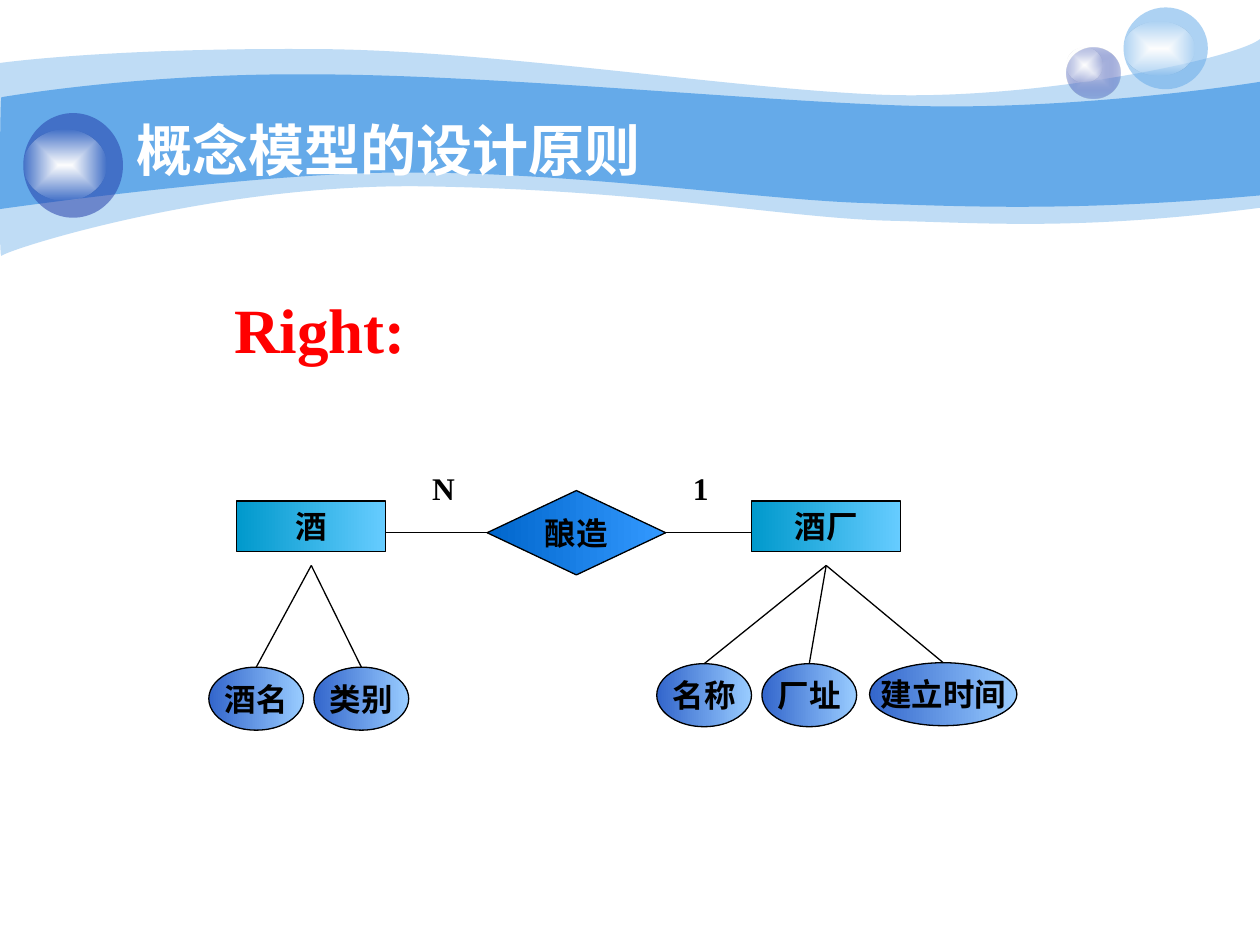
from typing import NamedTuple

from lxml.etree import SubElement
from pptx import Presentation
from pptx.dml.color import RGBColor
from pptx.enum.shapes import MSO_CONNECTOR, MSO_SHAPE
from pptx.enum.text import MSO_ANCHOR, MSO_AUTO_SIZE, PP_ALIGN
from pptx.oxml.ns import qn
from pptx.util import Cm, Pt

LATIN, CJK = "Times New Roman", "Noto Sans CJK SC"
BLUE, NAVY, WHITE, BLACK = "65AAE9", "233DA9", "FFFFFF", "000000"
ENTITY_FILL = ("0099CC", "66CCFF")
RELATION_FILL = ("0066CC", "3399FF")
ATTRIBUTE_FILL = ("3366CC", "99CCFF")


class Box(NamedTuple):
    """A frame in centimetres."""
    left: float
    top: float
    width: float
    height: float

    @property
    def center(self) -> float:
        return self.left + self.width / 2

    @property
    def right(self) -> float:
        return self.left + self.width

    @property
    def bottom(self) -> float:
        return self.top + self.height

    def lengths(self) -> list:
        return [Cm(value) for value in self]


class Attribute(NamedTuple):
    text: str
    box: Box


class Entity(NamedTuple):
    text: str
    box: Box
    attributes: list


class Sphere(NamedTuple):
    ball: Box
    shine: Box
    colors: tuple
    opacities: tuple


class Wave(NamedTuple):
    """Bezier edges, three points to a bend, joined by a line to the corner."""
    start: tuple
    top: list
    corner: tuple
    bottom: list
    opacity: int


WAVES = [
    Wave((0, 1.27),
         [(0.61, 1.19), (2.72, 0.97), (6.27, 0.99),
          (9.8, 0.99), (14.61, 1.78), (17.75, 1.91),
          (20.88, 2.03), (24.89, 1.19), (25.4, 0.79)],
         (25.4, 4.19),
         [(21.79, 4.65), (19.99, 4.5), (17.91, 4.45),
          (15.8, 4.39), (13.08, 3.84), (8.71, 3.76),
          (4.37, 3.66), (0.1, 5.05), (0.03, 5.16),
          (-0.03, 5.28), (0, 1.91), (0, 1.27)], 41),
    Wave((0.03, 1.96),
         [(0.05, 1.96), (2.79, 1.47), (6.3, 1.5),
          (9.8, 1.5), (15.11, 2.03), (18.24, 2.13),
          (21.36, 2.24), (24.79, 1.75), (25.4, 1.65)],
         (25.4, 3.94),
         [(21.67, 4.27), (19.43, 4.17), (17.32, 4.09),
          (15.21, 4.01), (11.35, 3.45), (8.05, 3.48),
          (5.16, 3.48), (-0.05, 4.22), (-0.03, 4.22),
          (0, 4.22), (0, 1.96), (0.03, 1.96)], 100),
]
SPHERES = [
    Sphere(Box(21.51, 0.97, 1.07, 1.02), Box(21.51, 0.97, 0.71, 0.69), ("C7CEE9", NAVY), (100, 31)),
    Sphere(Box(22.65, 0.15, 1.7, 1.65), Box(22.65, 0.43, 1.42, 1.09), (BLUE,), (53,)),
    Sphere(Box(0.47, 2.28, 2.01, 2.11), Box(0.47, 2.62, 1.68, 1.42), (NAVY,), (53,)),
]
ENTITIES = [
    Entity("酒", Box(4.77, 10.1, 3.01, 1.02), [
        Attribute("酒名", Box(4.21, 13.45, 1.91, 1.27)),
        Attribute("类别", Box(6.33, 13.45, 1.91, 1.27))]),
    Entity("酒厂", Box(15.15, 10.1, 3.01, 1.02), [
        Attribute("名称", Box(13.24, 13.38, 1.91, 1.27)),
        Attribute("厂址", Box(15.36, 13.38, 1.91, 1.27)),
        Attribute("建立时间", Box(17.53, 13.36, 2.97, 1.27))]),
]
RELATION = Box(9.82, 9.89, 3.6, 1.7)
BRANCH_GAP = 0.28


def rgb(color: str) -> RGBColor:
    return RGBColor.from_string(color)


def paint(shape, colors: tuple, opacities: tuple = (), radial: bool = False) -> None:
    """Fill with one colour or a two-colour gradient, without outline."""
    shape.shadow.inherit = False
    shape.line.fill.background()
    fill = shape.fill
    if len(colors) == 1:
        fill.solid()
        fill.fore_color.rgb = rgb(colors[0])
    else:
        fill.gradient()
        fill.gradient_angle = 0
        for stop, color in zip(fill.gradient_stops, colors):
            stop.color.rgb = rgb(color)
    properties = shape._element.spPr
    for color, opacity in zip(properties.iter(qn("a:srgbClr")), opacities):
        if opacity < 100:
            SubElement(color, qn("a:alpha"), val=str(opacity * 1000))
    if radial:
        gradient = properties.find(qn("a:gradFill"))
        gradient.remove(gradient.find(qn("a:lin")))
        path = SubElement(gradient, qn("a:path"), path="rect")
        SubElement(path, qn("a:fillToRect"), l="50000", t="50000", r="50000", b="50000")


def write(shape, text: str, size: int = 18, color: str = BLACK, latin: str = LATIN,
          align=PP_ALIGN.LEFT, anchor=MSO_ANCHOR.TOP, wrap: bool = False):
    frame = shape.text_frame
    frame.text = text
    frame.auto_size = MSO_AUTO_SIZE.NONE
    frame.word_wrap = wrap
    frame.vertical_anchor = anchor
    paragraph = frame.paragraphs[0]
    paragraph.alignment = align
    font = paragraph.font
    font.size, font.bold, font.name = Pt(size), True, latin
    font.color.rgb = rgb(color)
    SubElement(font._element, qn("a:ea"), typeface=CJK)
    return paragraph


def draw_wave(shapes, wave: Wave) -> None:
    outline = shapes.build_freeform(*map(Cm, wave.start))
    points = [*wave.top, wave.corner, *wave.bottom]
    outline.add_line_segments([tuple(map(Cm, point)) for point in points])
    band = outline.convert_to_shape()
    # Merge each three points into one Bezier bend, leaving the corner straight
    lines = list(band._element.iter(qn("a:lnTo")))
    corner = len(wave.top)
    bends = lines[:corner] + lines[corner + 1:]
    for first in range(0, len(bends), 3):
        bend, *others = bends[first:first + 3]
        bend.tag = qn("a:cubicBezTo")
        for other in others:
            bend.append(other[0])
            other.getparent().remove(other)
    paint(band, (BLUE,), (wave.opacity,))


def draw_sphere(shapes, sphere: Sphere) -> None:
    ball = shapes.add_shape(MSO_SHAPE.OVAL, *sphere.ball.lengths())
    paint(ball, sphere.colors, sphere.opacities, radial=len(sphere.colors) > 1)
    shine = shapes.add_shape(MSO_SHAPE.OVAL, *sphere.shine.lengths())
    paint(shine, (WHITE, WHITE), (100, 0), radial=True)


def draw_node(shapes, kind, text: str, box: Box, colors: tuple, anchor=MSO_ANCHOR.MIDDLE) -> None:
    node = shapes.add_shape(kind, *box.lengths())
    paint(node, colors)
    node.line.color.rgb = rgb(BLACK)
    node.line.width = Pt(0.75)
    write(node, text, align=PP_ALIGN.CENTER, anchor=anchor)


def draw_link(shapes, *ends: float) -> None:
    link = shapes.add_connector(MSO_CONNECTOR.STRAIGHT, *map(Cm, ends))
    link.line.color.rgb = rgb(BLACK)
    link.line.width = Pt(0.75)
    SubElement(link._element.spPr, qn("a:effectLst"))


def draw_entity(shapes, entity: Entity) -> None:
    box = entity.box
    draw_node(shapes, MSO_SHAPE.RECTANGLE, entity.text, box, ENTITY_FILL, MSO_ANCHOR.TOP)
    for text, oval in entity.attributes:
        draw_node(shapes, MSO_SHAPE.OVAL, text, oval, ATTRIBUTE_FILL)
        draw_link(shapes, oval.center, oval.top, box.center, box.bottom + BRANCH_GAP)


def add_label(shapes, text: str, box: Box, **style) -> None:
    write(shapes.add_textbox(*box.lengths()), text, **style)


def main() -> None:
    deck = Presentation()
    deck.slide_width, deck.slide_height = Cm(25.4), Cm(19.05)
    shapes = deck.slides.add_slide(deck.slide_layouts[5]).shapes

    # Header decoration
    for wave in WAVES:
        draw_wave(shapes, wave)
    for sphere in SPHERES:
        draw_sphere(shapes, sphere)

    # Title, raised above the waves
    title = shapes.title
    shapes._spTree.append(title._element)
    title.left, title.top, title.width, title.height = Box(2.49, 1.52, 16.94, 2.29).lengths()
    write(title, "概念模型的设计原则", 32, WHITE, CJK, wrap=True).line_spacing = 1.5
    add_label(shapes, "Right:", Box(4.47, 5.74, 3.96, 1.78), size=36, color="FF0000")

    # Entity-relationship diagram
    for entity in ENTITIES:
        draw_entity(shapes, entity)
    draw_node(shapes, MSO_SHAPE.FLOWCHART_DECISION, "酿造", RELATION, RELATION_FILL)
    wine, winery = (entity.box for entity in ENTITIES)
    middle = RELATION.top + RELATION.height / 2
    draw_link(shapes, wine.right, middle, RELATION.left, middle)
    draw_link(shapes, RELATION.right, middle, winery.left, middle)
    add_label(shapes, "N", Box(8.46, 9.34, 0.97, 1.02))
    add_label(shapes, "1", Box(13.72, 9.34, 0.81, 1.02))

    deck.save("out.pptx")


if __name__ == "__main__":
    main()
